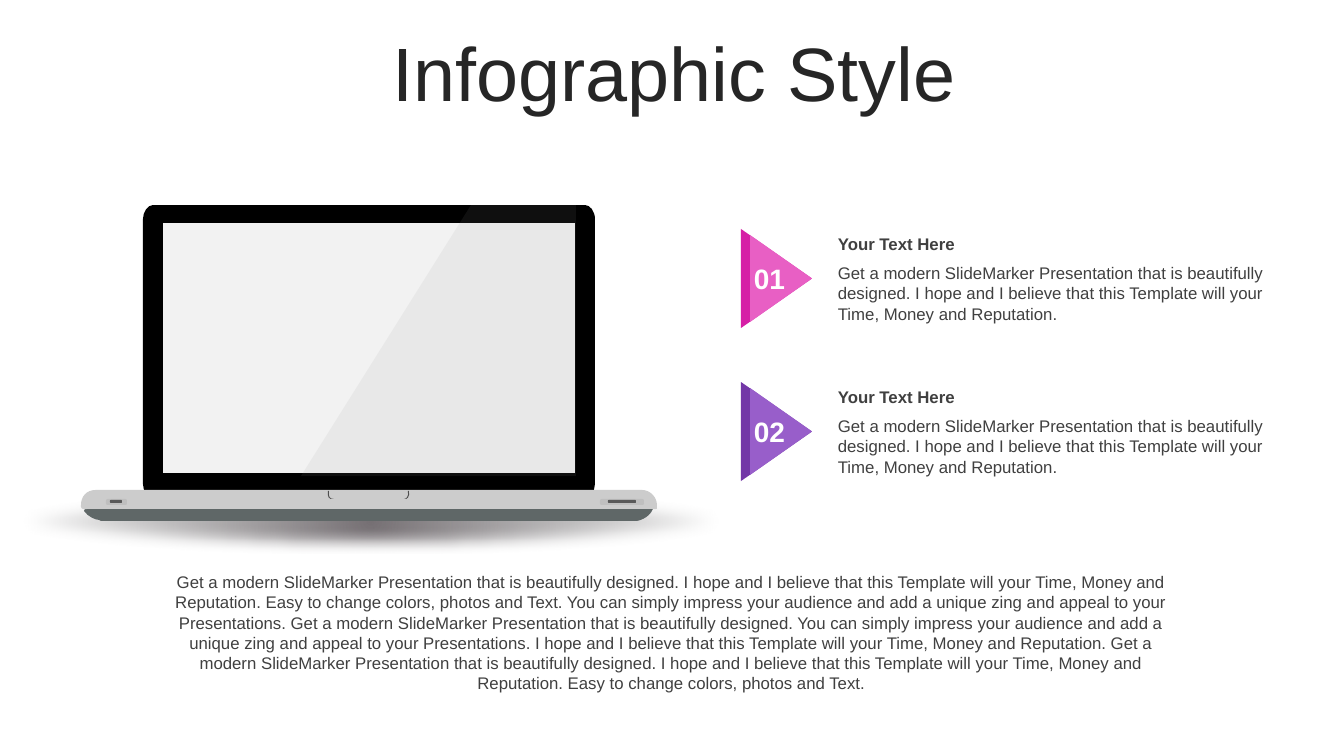
from pptx import Presentation
from pptx.dml.color import RGBColor
from pptx.enum.shapes import MSO_SHAPE
from pptx.enum.text import MSO_ANCHOR, MSO_AUTO_SIZE, PP_ALIGN
from pptx.oxml import parse_xml
from pptx.oxml.ns import nsdecls, qn
from pptx.util import Emu, Pt
from lxml.etree import SubElement

EMU_PER_PX = 914400 / 100.8
SLIDE_WIDTH, SLIDE_HEIGHT = 1344, 756
GREY = "404040"
OPENING = "Get a modern SlideMarker Presentation that is beautifully designed."
HOPE = "I hope and I believe that this Template will your Time, Money and Reputation."
EASY = "Easy to change colors, photos and Text."
IMPRESS = ("You can simply impress your audience and add a unique zing "
           "and appeal to your Presentations.")
SUMMARY = " ".join([OPENING, HOPE, EASY, IMPRESS, OPENING, IMPRESS, HOPE,
                    OPENING, HOPE, EASY])
ITEMS = [("01", "D61FA6", "E85FC4"), ("02", "7337A7", "985ECA")]


def px(length):
    """Turn pixels into EMU."""
    return Emu(round(length * EMU_PER_PX))


def colour(hex_text):
    """Turn a hex string into a colour."""
    return RGBColor.from_string(hex_text)


def apply(target, values):
    """Set every attribute in a dict of format values."""
    for name, value in values.items():
        setattr(target, name, value)


def paint(shape, fill, opacity=100):
    """Give a shape a flat fill without line or shadow."""
    shape.shadow.inherit = False
    shape.line.fill.background()
    shape.fill.solid()
    shape.fill.fore_color.rgb = colour(fill)
    if opacity < 100:
        solid = shape.fill._xPr.find(qn("a:solidFill"))
        SubElement(solid[0], qn("a:alpha"), val=str(opacity * 1000))


def add_preset(slide, preset, box, fill):
    """Add a filled preset shape in a pixel box."""
    shape = slide.shapes.add_shape(preset, *map(px, box))
    paint(shape, fill)
    return shape


def bend(shape, parts):
    """Join the three line steps of each six-number part into one curve."""
    steps = iter(list(shape._element.iter(qn("a:moveTo"), qn("a:lnTo"))))
    for part in parts:
        step = next(steps)
        if len(part) == 6:
            step.tag = qn("a:cubicBezTo")
            for _ in range(2):
                control = next(steps)
                step.append(control[0])
                control.getparent().remove(control)


def add_outline(slide, origin, contours, fill, opacity=100):
    """Draw contours whose parts are points or six-number curves."""
    builder = None
    for contour in contours:
        start, *rest = [(px(origin[0] + part[i]), px(origin[1] + part[i + 1]))
                        for part in contour for i in range(0, len(part), 2)]
        if builder is None:
            builder = slide.shapes.build_freeform(*start)
        else:
            builder.move_to(*start)
        builder.add_line_segments(rest, close=True)
    shape = builder.convert_to_shape()
    bend(shape, [part for contour in contours for part in contour])
    paint(shape, fill, opacity)


def write(shape, text, size, text_colour, alignment=PP_ALIGN.LEFT, bold=False,
          anchor=MSO_ANCHOR.TOP, fit=MSO_AUTO_SIZE.SHAPE_TO_FIT_TEXT, spacing=1.0):
    """Write one formatted paragraph into a shape."""
    frame = shape.text_frame
    apply(frame, {"text": text, "word_wrap": True, "auto_size": fit,
                  "vertical_anchor": anchor})
    paragraph = frame.paragraphs[0]
    apply(paragraph, {"alignment": alignment, "line_spacing": spacing,
                      "space_before": Pt(0)})
    font = paragraph.runs[0].font
    apply(font, {"name": "Arial", "size": Pt(size), "bold": bold})
    font.color.rgb = colour(text_colour)


def add_text(slide, box, *words, **style):
    """Add a text box in a pixel box."""
    write(slide.shapes.add_textbox(*map(px, box)), *words, **style)


def add_title(slide, box):
    """Place and fill the title."""
    title = slide.shapes.title
    apply(title, dict(zip(("left", "top", "width", "height"), map(px, box))))
    write(title, "Infographic Style", 54, "262626", PP_ALIGN.CENTER,
          anchor=MSO_ANCHOR.MIDDLE, fit=MSO_AUTO_SIZE.NONE, spacing=0.9)


def add_soft_shadow(slide, box):
    """Draw a soft-edged ellipse that fades out from its centre."""
    shape = add_preset(slide, MSO_SHAPE.OVAL, box, "808080")
    solid = shape.fill._xPr.find(qn("a:solidFill"))
    stops = "".join(
        f'<a:gs pos="{place}"><a:srgbClr val="{shade}"><a:alpha val="{alpha}"/>'
        "</a:srgbClr></a:gs>"
        for place, shade, alpha in ((0, "767074", 100000), (100000, "808080", 0)))
    gradient = parse_xml(
        f'<a:gradFill {nsdecls("a")} rotWithShape="1"><a:gsLst>{stops}</a:gsLst>'
        '<a:path path="circle"><a:fillToRect l="50000" t="50000" r="50000" '
        'b="50000"/></a:path></a:gradFill>')
    solid.getparent().replace(solid, gradient)
    effects = shape._element.spPr.find(qn("a:effectLst"))
    SubElement(effects, qn("a:softEdge"), rad=str(Pt(10)))


def add_laptop(slide, left, top):
    """Draw the laptop and its shadow from its top left corner."""
    origin = (left, top)
    add_soft_shadow(slide, (left - 100, top + 284, 782, 68))
    underside = [(557, 318), (557, 318, 569, 316, 573, 306),
                 (573, 303, 571, 301, 568, 301), (10, 303),
                 (7, 303, 4, 305, 4, 308), (8, 314, 16, 317, 19, 317), (21, 318)]
    lid = [(515, 281), (515, 288, 510, 295, 505, 295), (73, 295),
           (68, 295, 63, 288, 63, 281), (63, 16), (63, 9, 68, 2, 73, 2),
           (505, 2), (510, 2, 515, 8, 515, 16)]
    screen = [(83, 20), (495, 20), (495, 270), (83, 270)]
    deck = [(16, 287), (562, 287), (570, 287, 577, 294, 577, 302), (577, 305),
            (577, 305, 578, 307, 572, 306), (8, 306), (6, 306, 1, 307, 1, 304),
            (1, 302), (1, 294, 6, 287, 16, 287)]
    left_hook = [(248, 288), (249, 288), (248, 294, 250, 296, 254, 296),
                 (249, 297, 247, 294, 248, 288)]
    right_hook = [(328, 288), (329, 288), (330, 294, 327, 297, 324, 296),
                  (326, 296, 329, 294, 328, 288)]
    glare = [(391, 2), (496, 2), (496, 273), (221, 273)]
    for contours, fill in (([underside], "5F6767"), ([lid], "000000"),
                           ([screen], "F2F2F2"), ([deck], "CCCCCC"),
                           ([left_hook, right_hook], "4D4D4D")):
        add_outline(slide, origin, contours, fill)
    for x, y, width, height, fill in ((26, 296, 21, 6, "BFBFBF"),
                                      (30, 297, 12, 3, "595959"),
                                      (520, 296, 44, 6, "BFBFBF"),
                                      (528, 297, 28, 3, "595959")):
        slot = add_preset(slide, MSO_SHAPE.ROUNDED_RECTANGLE,
                          (left + x, top + y, width, height), fill)
        slot.adjustments[0] = 0.28
    add_outline(slide, origin, [glare], "999999", 10)


def add_pointer(slide, left, top, width, height, fill):
    """Draw a triangle that points right and fills the box."""
    shift = (width - height) / 2
    shape = add_preset(slide, MSO_SHAPE.ISOSCELES_TRIANGLE,
                       (left + shift, top - shift, height, width), fill)
    shape.rotation = 90


def add_item(slide, left, top, number, dark, light):
    """Add a numbered pointer with its heading and text."""
    add_text(slide, (left + 87, top + 29, 452, 72), f"{OPENING} {HOPE}", 12, GREY)
    add_text(slide, (left + 87, top, 452, 30), "Your Text Here", 12, GREY,
             bold=True, anchor=MSO_ANCHOR.MIDDLE)
    add_pointer(slide, left, top, 71, 99, dark)
    add_pointer(slide, left + 9, top + 6, 62, 87, light)
    add_text(slide, (left - 10, top + 27, 77, 44), number, 20, "FFFFFF",
             PP_ALIGN.CENTER, bold=True, anchor=MSO_ANCHOR.MIDDLE)


def main():
    """Build the slide and save it."""
    presentation = Presentation()
    apply(presentation, {"slide_width": px(SLIDE_WIDTH),
                         "slide_height": px(SLIDE_HEIGHT)})
    slide = presentation.slides.add_slide(presentation.slide_layouts[5])
    add_laptop(slide, 80, 203)
    add_title(slide, (36, 37, 1276, 80))
    add_text(slide, (160, 567, 1023, 132), SUMMARY, 12, GREY, PP_ALIGN.CENTER)
    for row, item in enumerate(ITEMS):
        add_item(slide, 741, 229 + 153 * row, *item)
    presentation.save("out.pptx")


if __name__ == "__main__":
    main()
